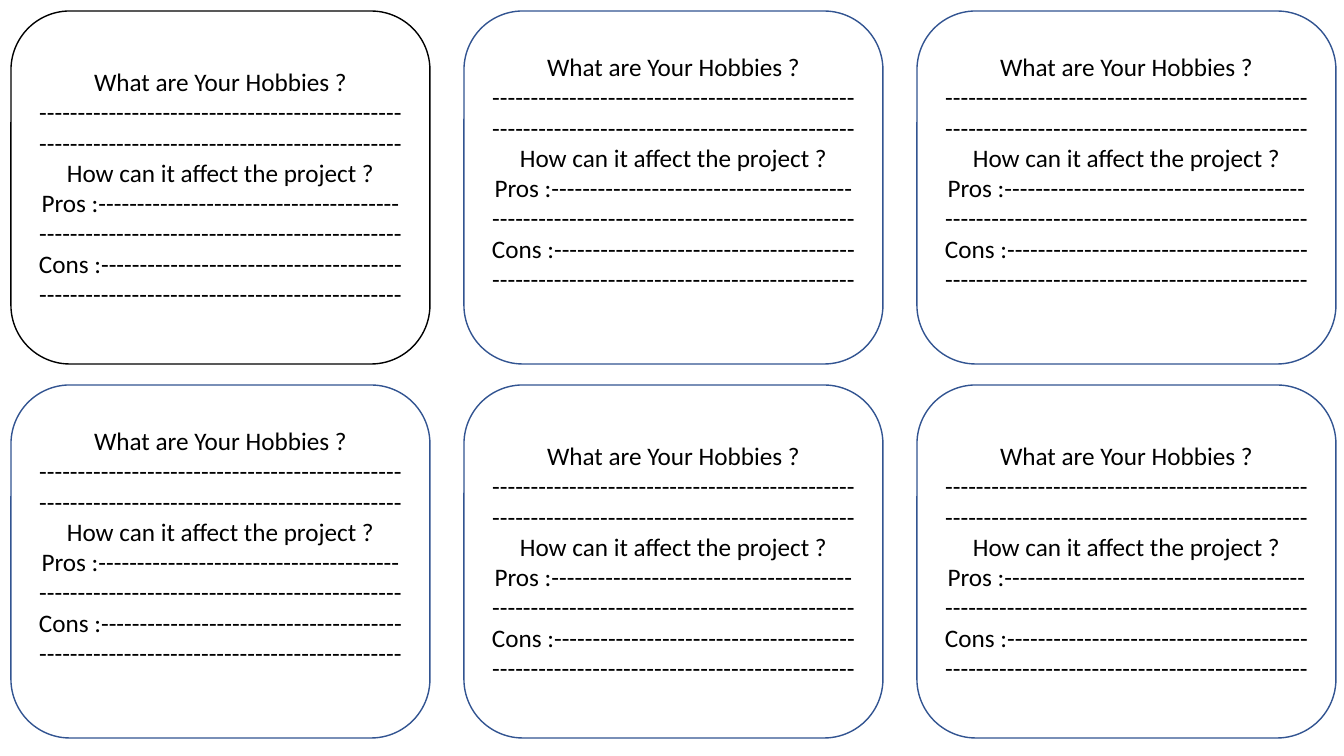
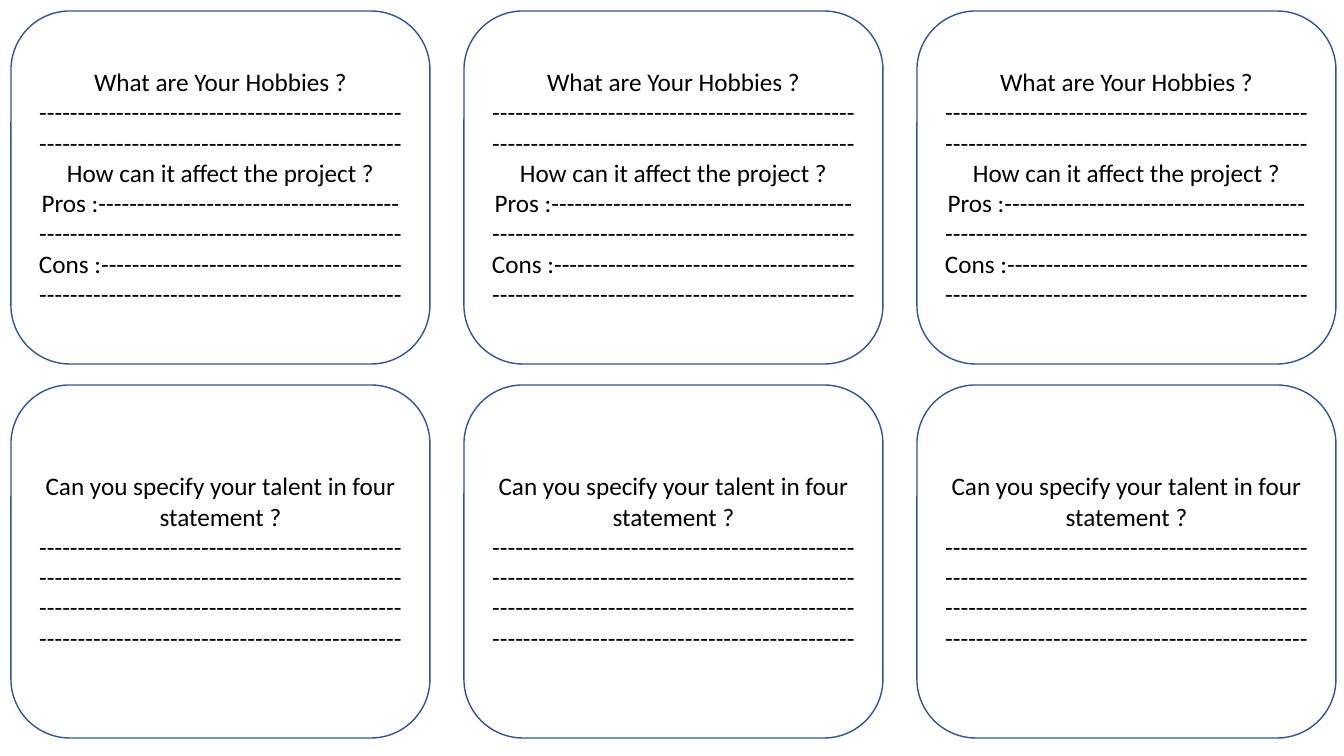
from pptx import Presentation
from pptx.dml.color import RGBColor
from pptx.enum.shapes import MSO_SHAPE
from pptx.enum.text import MSO_ANCHOR, PP_ALIGN
from pptx.util import Pt

SCALE = 914400 / 100.8
COLORS = {"paper": "FFFFFF", "ink": "000000", "edge": "325491"}
DASH = "-" * 47
PAIR = "-" * 86
HOBBY = ["What are Your Hobbies ?", DASH, DASH,
         "How can it affect the project ?", "Pros :" + PAIR, "Cons :" + PAIR]
TALENT = ["Can you specify your talent in four statement ?", DASH * 4]
FONT = {"name": "Calibri", "size": Pt(18)}
LEFT, TOP, WIDE, HIGH = 11, 11, 419, 353
ACROSS, DOWN = 453, 374
COLS = 3
INSET, LIFT = 5, 30


def emu(px):
    """Turn px into EMU."""
    return round(px * SCALE)


def tint(name):
    """Return the named colour."""
    return RGBColor.from_string(COLORS[name])


def apply(item, style):
    """Set each attribute of an item from a dict."""
    for key, value in style.items():
        setattr(item, key, value)


def card(slide, box, lines, edge="edge", lift=0):
    """Draw a rounded card with centred lines, raised by half of lift."""
    shape = slide.shapes.add_shape(MSO_SHAPE.ROUNDED_RECTANGLE, *map(emu, box))
    shape.shadow.inherit = False
    shape.fill.solid()
    shape.fill.fore_color.rgb = tint("paper")
    shape.line.color.rgb = tint(edge)
    shape.line.width = Pt(1)
    frame = shape.text_frame
    apply(frame, {"word_wrap": True, "vertical_anchor": MSO_ANCHOR.MIDDLE,
                  "margin_top": emu(INSET), "margin_bottom": emu(INSET + lift)})
    frame.text = "\n".join(lines)
    for para in frame.paragraphs:
        para.alignment = PP_ALIGN.CENTER
        apply(para.font, FONT)
        para.font.color.rgb = tint("ink")


def sheet(deck, cards):
    """Add a slide with a grid of cards."""
    slide = deck.slides.add_slide(deck.slide_layouts[6])
    for index, style in enumerate(cards):
        row, col = divmod(index, COLS)
        box = (LEFT + col * ACROSS, TOP + row * DOWN, WIDE, HIGH)
        card(slide, box, **style)


def main():
    """Build and save both sheets."""
    deck = Presentation()
    apply(deck, {"slide_width": emu(1344), "slide_height": emu(756)})
    plain = {"lines": HOBBY}
    first = {"lines": HOBBY, "edge": "ink"}
    raised = {"lines": HOBBY, "lift": LIFT}
    talent = {"lines": TALENT}
    sheet(deck, [first] + [raised] * 3 + [plain] * 2)
    sheet(deck, [plain] * COLS + [talent] * COLS)
    deck.save("out.pptx")


if __name__ == "__main__":
    main()
